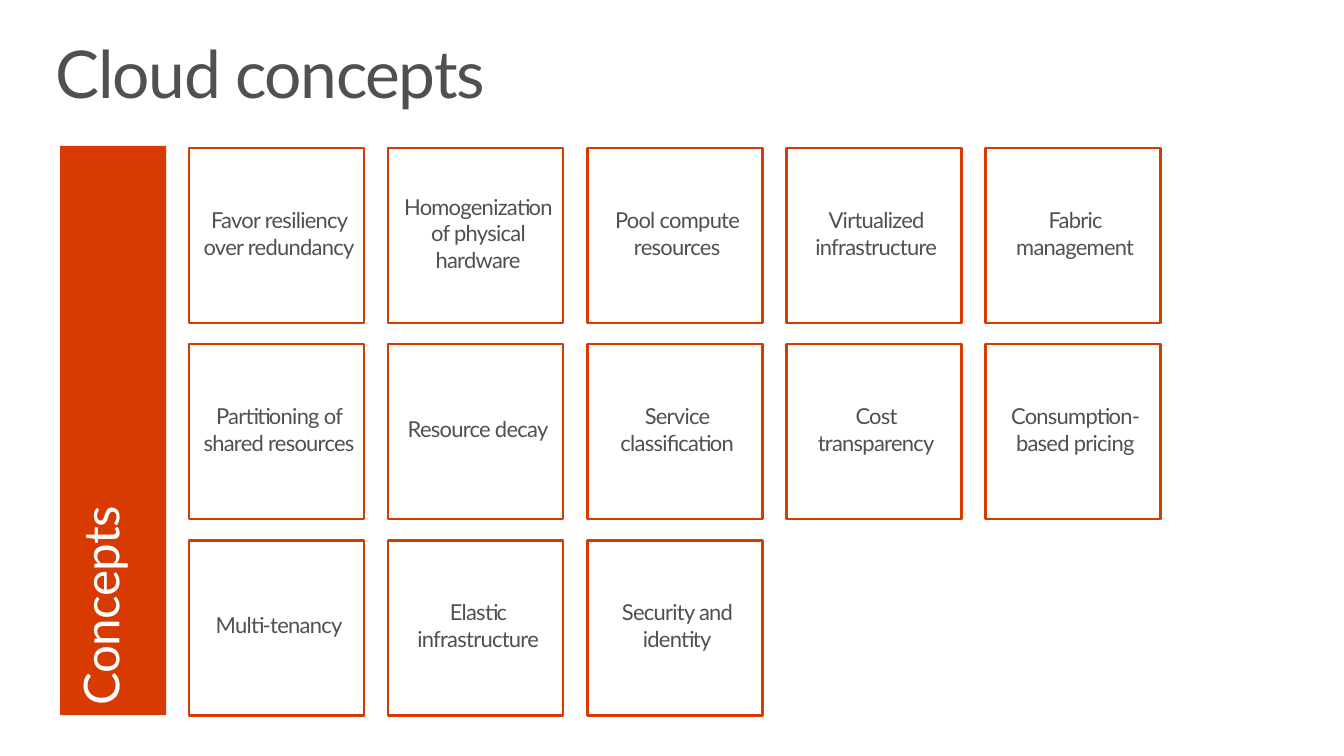
from pptx import Presentation
from pptx.dml.color import RGBColor
from pptx.enum.shapes import MSO_SHAPE
from pptx.enum.text import MSO_ANCHOR, PP_ALIGN
from pptx.util import Emu, Pt

ORANGE = RGBColor(0xD8, 0x3B, 0x01)
GRAY = RGBColor(0x50, 0x50, 0x50)
WHITE = RGBColor(0xFF, 0xFF, 0xFF)
SCALE = 914400 / 98.8


def px(pixels):
    return Emu(round(pixels * SCALE))


def write(shape, text, size, color, spacing, insets, align, anchor):
    frame = shape.text_frame
    frame.word_wrap = True
    frame.vertical_anchor = anchor
    frame.margin_left, frame.margin_top, frame.margin_right, frame.margin_bottom = map(px, insets)
    paragraph = frame.paragraphs[0]
    paragraph.alignment = align
    paragraph.font.name = "Lato"
    paragraph.font.size = Pt(size)
    paragraph.font.color.rgb = color
    run = paragraph.add_run()
    run.text = text
    run._r.get_or_add_rPr().set("spc", str(round(spacing * 100)))
    return paragraph


presentation = Presentation()
presentation.slide_width = Emu(round(13.6 * 914400))
presentation.slide_height = Emu(round(7.65 * 914400))
slide = presentation.slides.add_slide(presentation.slide_layouts[6])

title = slide.shapes.add_textbox(px(40), px(32), px(1265), px(99))
paragraph = write(title, "Cloud concepts", 48, GRAY, -1, (16, 10, 16, 10),
                  PP_ALIGN.LEFT, MSO_ANCHOR.TOP)
paragraph.line_spacing = 0.9

SHAPE_INSETS = (10, 5, 5, 10)
CONCEPTS = [
    ["Favor resiliency over redundancy", "Homogenization of physical hardware",
     "Pool compute resources", "Virtualized infrastructure", "Fabric management"],
    ["Partitioning of shared resources", "Resource decay", "Service classification",
     "Cost transparency", "Consumption-based pricing"],
    ["Multi-tenancy", "Elastic infrastructure", "Security and identity"],
]
LEFT, TOP, TILE = 189, 148, 175
COLUMN_STEP, ROW_STEP = 199, 196

for row, concepts in enumerate(CONCEPTS):
    for column, concept in enumerate(concepts):
        tile = slide.shapes.add_shape(
            MSO_SHAPE.RECTANGLE, px(LEFT + column * COLUMN_STEP), px(TOP + row * ROW_STEP),
            px(TILE), px(TILE))
        tile.shadow.inherit = False
        tile.fill.background()
        tile.line.color.rgb = ORANGE
        tile.line.width = Pt(2)
        write(tile, concept, 16, GRAY, -0.5, SHAPE_INSETS, PP_ALIGN.CENTER, MSO_ANCHOR.MIDDLE)

sidebar = slide.shapes.add_shape(MSO_SHAPE.RECTANGLE, px(60), px(146), px(106), px(569))
sidebar.shadow.inherit = False
sidebar.fill.solid()
sidebar.fill.fore_color.rgb = ORANGE
sidebar.line.fill.background()
write(sidebar, "Concepts", 36, WHITE, -0.5, SHAPE_INSETS, PP_ALIGN.LEFT, MSO_ANCHOR.TOP)
sidebar.text_frame._txBody.bodyPr.set("vert", "vert270")

presentation.save("out.pptx")
